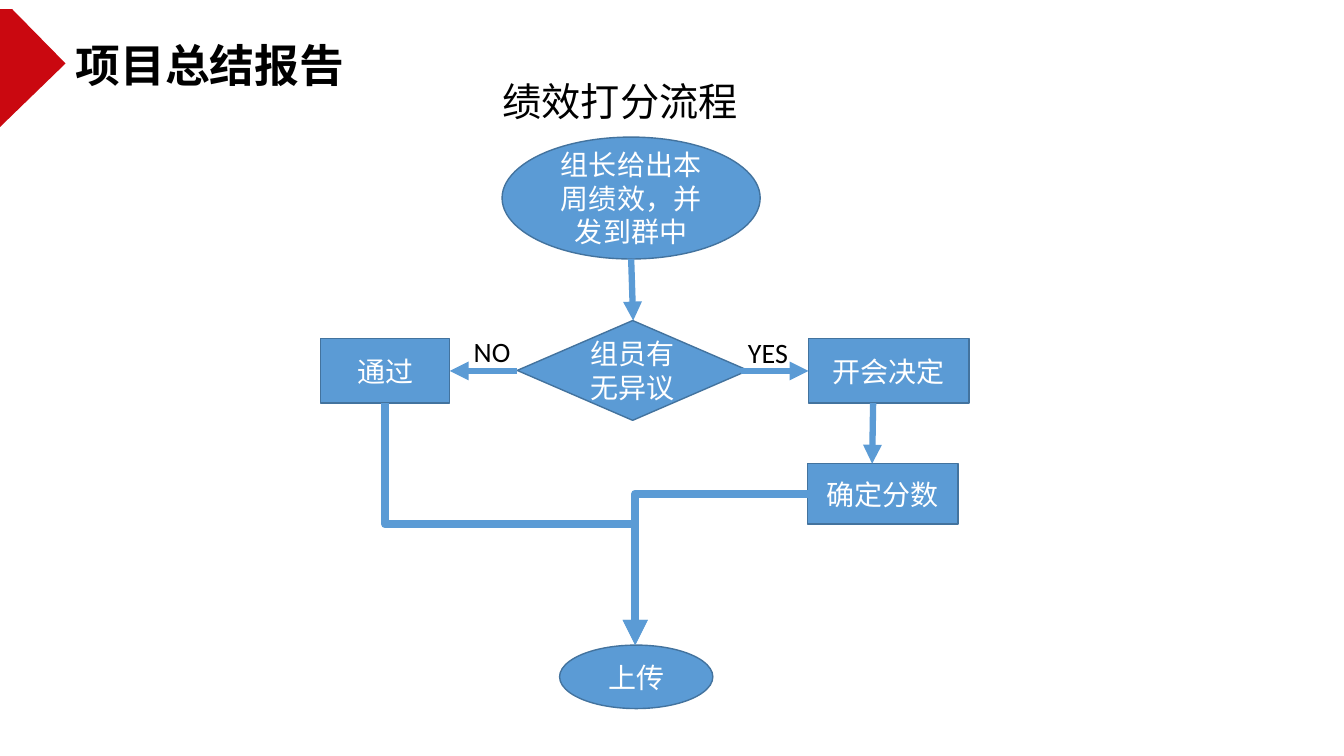
"""Build the score flow slide of the project report."""
from dataclasses import dataclass

from lxml import etree
from pptx import Presentation
from pptx.dml.color import RGBColor
from pptx.enum.shapes import MSO_CONNECTOR, MSO_SHAPE
from pptx.enum.text import MSO_ANCHOR, MSO_AUTO_SIZE, PP_ALIGN
from pptx.oxml.ns import qn
from pptx.shapes.shapetree import SlideShapes
from pptx.text.text import TextFrame
from pptx.util import Emu, Pt

SCALE = 9144
OVAL, RECT, DIAMOND = MSO_SHAPE.OVAL, MSO_SHAPE.RECTANGLE, MSO_SHAPE.DIAMOND
LINE, ELBOW = MSO_CONNECTOR.STRAIGHT, MSO_CONNECTOR.ELBOW
LEFT, CENTER = PP_ALIGN.LEFT, PP_ALIGN.CENTER
TOP, MIDDLE = MSO_ANCHOR.TOP, MSO_ANCHOR.MIDDLE
GROW = MSO_AUTO_SIZE.SHAPE_TO_FIT_TEXT
BLUE, EDGE, RED = "5B9BD5", "43739E", "CA0810"
BLACK, WHITE = "000000", "FFFFFF"
LATIN, HAN = "Calibri", "Noto Sans CJK SC"


@dataclass
class Node:
    """A filled step of the flow."""
    text: str
    kind: MSO_SHAPE
    x: int
    y: int
    w: int
    h: int


@dataclass
class Arrow:
    """A line with a head, its box turned by whole degrees."""
    x1: int
    y1: int
    x2: int
    y2: int
    kind: MSO_CONNECTOR = LINE
    geom: str = "line"
    turn: int = 0
    width: float = 4.5


@dataclass
class Label:
    """Plain text on the slide."""
    text: str
    x: int
    y: int
    w: int
    h: int
    size: int = 20
    align: PP_ALIGN = LEFT
    font: str = LATIN
    bold: bool = False
    wrap: bool = False


NODES = [
    Node("组长给出本周绩效，并发到群中", OVAL, 498, 136, 256, 121),
    Node("组员有无异议", DIAMOND, 513, 318, 229, 99),
    Node("通过", RECT, 318, 336, 128, 64),
    Node("开会决定", RECT, 802, 336, 159, 64),
    Node("确定分数", RECT, 801, 460, 149, 60),
    Node("上传", OVAL, 555, 640, 152, 63),
]
ARROWS = [
    Arrow(626, 257, 628, 318),
    Arrow(513, 368, 446, 368),
    Arrow(735, 368, 802, 368),
    Arrow(866, 400, 865, 460),
    Arrow(626, 396, 386, 644, ELBOW, "bentConnector3", 270, 6),
    Arrow(630, 640, 804, 490, ELBOW, "bentConnector2", 180, 6),
]
LABELS = [
    Label("绩效打分流程", 487, 72, 256, 57, 28, CENTER),
    Label("NO", 460, 327, 57, 44),
    Label("YES", 732, 328, 60, 44),
    Label("项目总结报告", 65, 33, 579, 64, 32, font=HAN, bold=True, wrap=True),
]
CORNER = [(0, 9), (0, 126), (65, 63), (12, 9)]


def px(n: int) -> Emu:
    """Turn px into EMU."""
    return Emu(n * SCALE)


def color(code: str) -> RGBColor:
    """Turn a hex string into a colour."""
    return RGBColor.from_string(code)


def write(frame: TextFrame, text: str, size: int, ink: str, align: PP_ALIGN,
          font: str = LATIN, bold: bool = False) -> None:
    """Add one styled run to the frame."""
    para = frame.paragraphs[0]
    para.alignment = align
    run = para.add_run()
    run.text = text
    run.font.name = font
    run.font.size = Pt(size)
    run.font.bold = bold
    run.font.color.rgb = color(ink)
    han = etree.SubElement(run.font._element, qn("a:ea"))
    han.set("typeface", HAN)


def draw_node(shapes: SlideShapes, node: Node) -> None:
    """Draw one step with its text."""
    shape = shapes.add_shape(node.kind, px(node.x), px(node.y), px(node.w), px(node.h))
    shape.shadow.inherit = False
    shape.fill.solid()
    shape.fill.fore_color.rgb = color(BLUE)
    shape.line.color.rgb = color(EDGE)
    shape.line.width = Pt(1)
    frame = shape.text_frame
    frame.word_wrap = True
    frame.vertical_anchor = MIDDLE
    write(frame, node.text, 20, WHITE, CENTER)


def draw_arrow(shapes: SlideShapes, arrow: Arrow) -> None:
    """Draw one line and its head."""
    line = shapes.add_connector(arrow.kind, px(arrow.x1), px(arrow.y1),
                                px(arrow.x2), px(arrow.y2))
    line.line.color.rgb = color(BLUE)
    line.line.width = Pt(arrow.width)
    props = line._element.spPr
    if arrow.turn:
        props.find(qn("a:xfrm")).set("rot", str(arrow.turn * 60000))
    props.find(qn("a:prstGeom")).set("prst", arrow.geom)
    head = etree.SubElement(props.find(qn("a:ln")), qn("a:tailEnd"))
    head.set("type", "triangle")
    etree.SubElement(props, qn("a:effectLst"))


def draw_label(shapes: SlideShapes, label: Label) -> None:
    """Draw one text box."""
    box = shapes.add_textbox(px(label.x), px(label.y), px(label.w), px(label.h))
    frame = box.text_frame
    frame.word_wrap = label.wrap
    frame.auto_size = GROW
    frame.vertical_anchor = TOP
    write(frame, label.text, label.size, BLACK, label.align, label.font, label.bold)


def draw_corner(shapes: SlideShapes) -> None:
    """Draw the red mark by the title."""
    path = shapes.build_freeform(*CORNER[0], scale=SCALE)
    path.add_line_segments(CORNER[1:], close=True)
    mark = path.convert_to_shape()
    mark.shadow.inherit = False
    mark.fill.solid()
    mark.fill.fore_color.rgb = color(RED)
    mark.line.fill.background()


def main() -> None:
    """Build and save the deck."""
    deck = Presentation()
    deck.slide_width, deck.slide_height = px(1333), px(750)
    shapes = deck.slides.add_slide(deck.slide_layouts[6]).shapes
    draw_corner(shapes)
    for node in NODES:
        draw_node(shapes, node)
    for arrow in ARROWS:
        draw_arrow(shapes, arrow)
    for label in LABELS:
        draw_label(shapes, label)
    deck.save("out.pptx")


if __name__ == "__main__":
    main()
